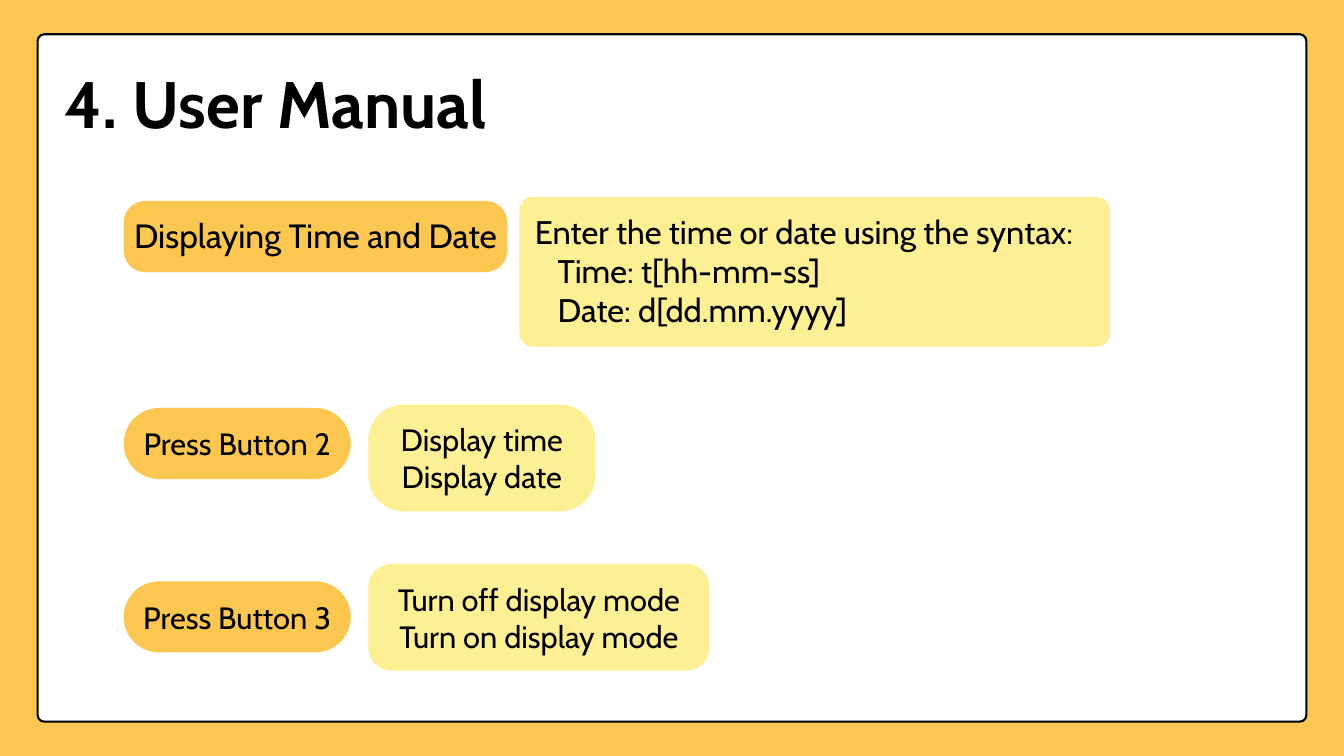
from pptx import Presentation
from pptx.dml.color import RGBColor
from pptx.enum.shapes import MSO_SHAPE
from pptx.enum.text import MSO_ANCHOR, PP_ALIGN
from pptx.util import Inches, Pt

ROUNDED = MSO_SHAPE.ROUNDED_RECTANGLE
MIDDLE = MSO_ANCHOR.MIDDLE
LEFT, CENTER = PP_ALIGN.LEFT, PP_ALIGN.CENTER
COLUMNS, ROWS = 20, 11.25
BLACK, WHITE, ORANGE, YELLOW = "000000", "FFFFFF", "FCC751", "FDEF94"
FONT = "Cabin"


def color(value):
    return RGBColor.from_string(value)


class ManualSlide:
    def __init__(self, deck):
        self.column = deck.slide_width / COLUMNS
        self.row = deck.slide_height / ROWS
        self.slide = deck.slides.add_slide(deck.slide_layouts[6])
        background = self.slide.background.fill
        background.solid()
        background.fore_color.rgb = color(ORANGE)

    def place(self, left, top, width, height):
        return (round(left * self.column), round(top * self.row),
                round(width * self.column), round(height * self.row))

    def panel(self, box, radius, fill, border=None):
        panel = self.slide.shapes.add_shape(ROUNDED, *self.place(*box))
        panel.adjustments[0] = radius / min(box[2:])
        panel.shadow.inherit = False
        panel.fill.solid()
        panel.fill.fore_color.rgb = color(fill)
        if border:
            panel.line.color.rgb = color(BLACK)
            panel.line.width = Pt(border)
        else:
            panel.line.fill.background()
        return panel

    def add_lines(self, frame, lines, size, spacing, align, bold=False):
        for number, (words, indent) in enumerate(lines):
            paragraph = frame.paragraphs[0] if number == 0 else frame.add_paragraph()
            paragraph.alignment = align
            paragraph.line_spacing = Pt(spacing)
            if indent:
                paragraph._p.get_or_add_pPr().set("marL", str(Inches(indent)))
            run = paragraph.add_run()
            run.text = words
            run.font.name = FONT
            run.font.size = Pt(size)
            run.font.bold = bold
            run.font.color.rgb = color(BLACK)

    def title(self, box, words):
        frame = self.slide.shapes.add_textbox(*self.place(*box)).text_frame
        frame.word_wrap = True
        frame.margin_left = frame.margin_right = 0
        frame.margin_top = frame.margin_bottom = 0
        self.add_lines(frame, [(words, 0)], 70.3, 98.4, LEFT, bold=True)

    def card(self, box, radius, fill, lines, size=33, align=CENTER, inset=0.06, lift=0):
        frame = self.panel(box, radius, fill).text_frame
        frame.vertical_anchor = MIDDLE
        frame.word_wrap = align == LEFT
        frame.margin_left = Inches(inset)
        frame.margin_right = frame.margin_top = Inches(0.06)
        frame.margin_bottom = Inches(0.06 + lift)
        self.add_lines(frame, lines, size, size * 1.2, align)


def main():
    deck = Presentation()
    deck.slide_width, deck.slide_height = Inches(COLUMNS), Inches(ROWS)
    manual = ManualSlide(deck)
    manual.panel((0.56, 0.51, 18.88, 10.23), 0.1, WHITE, border=2.25)
    manual.title((0.96, 0.74, 9.04, 1.33), "4. User Manual")

    action_left, result_left = 1.84, 5.48
    manual.card((action_left, 2.99, 5.71, 1.06), 0.32, ORANGE,
                [("Displaying Time and Date", 0)], size=36, lift=0.04)
    syntax = [("Enter the time or date using the syntax:", 0),
              ("Time: t[hh-mm-ss]", 0.34), ("Date: d[dd.mm.yyyy]", 0.34)]
    manual.card((7.73, 2.93, 8.79, 2.23), 0.2, YELLOW, syntax,
                size=35, align=LEFT, inset=0.17, lift=0.04)

    buttons = [
        ("Press Button 2", 6.07, 6.02, 3.38, 0.53, ("Display time", "Display date")),
        ("Press Button 3", 8.65, 8.39, 5.08, 0.35,
         ("Turn off display mode", "Turn on display mode")),
    ]
    for action, action_top, result_top, width, radius, results in buttons:
        manual.card((action_left, action_top, 3.38, 1.06), 0.53, ORANGE, [(action, 0)])
        manual.card((result_left, result_top, width, 1.59), radius, YELLOW,
                    [(result, 0) for result in results])

    deck.save("out.pptx")


if __name__ == "__main__":
    main()
